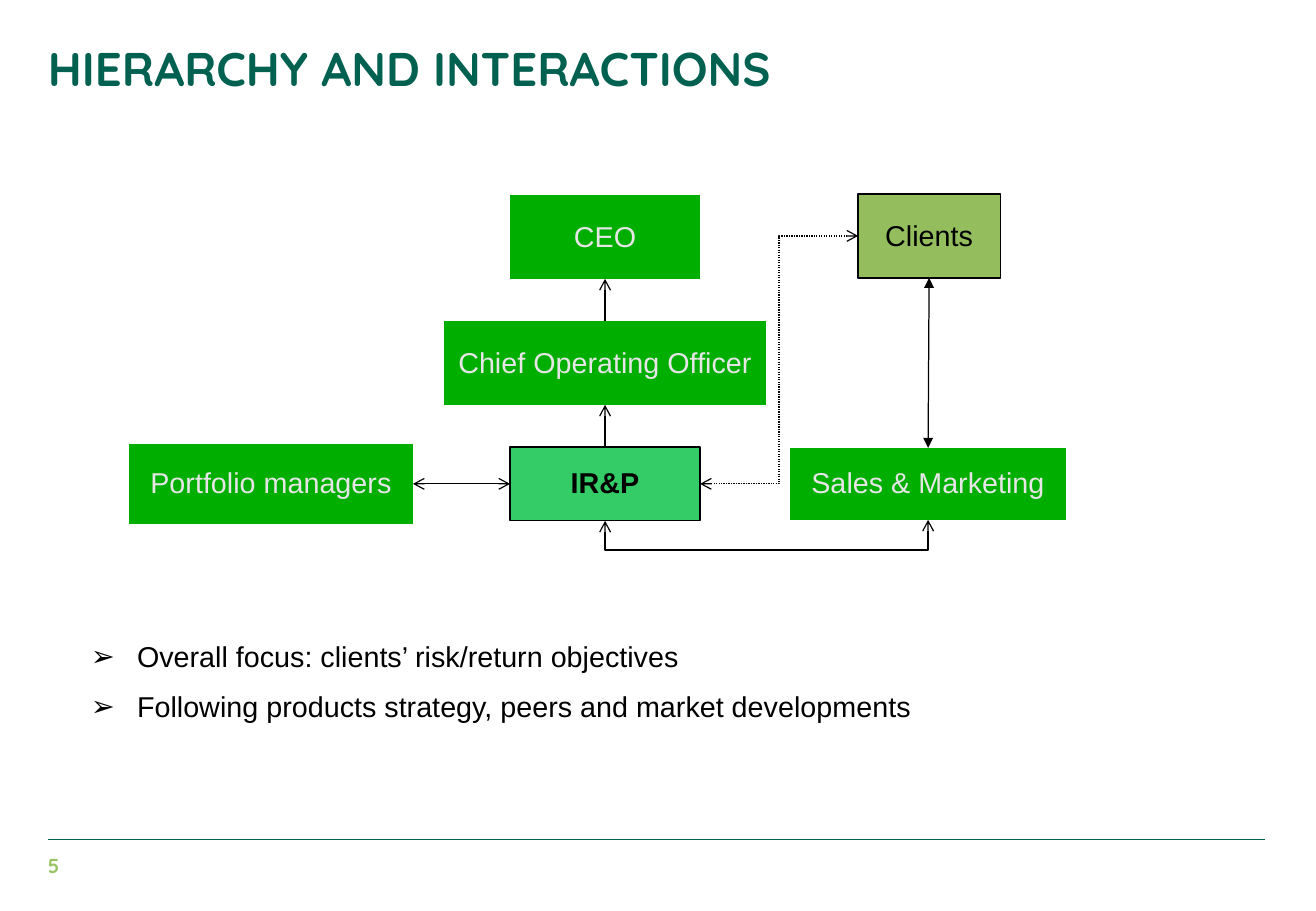
from lxml import etree
from pptx import Presentation, util as u
from pptx.dml.color import RGBColor
from pptx.enum import dml, shapes, text
from pptx.oxml.ns import qn

SCALE = u.Inches(1) / 121.5
TOP, LEFT, BOTTOM, RIGHT = range(4)

THEME = dict(
    heading_font="Quicksand", body_font="Arial",
    heading="006150", page="99C465", ink="000000", pale="E6E6E6",
    staff="00AE00", focus="33CC66", outside="94BD5E",
    title_size=28, body_size=17, page_size=12, rule_width=0.2, line_width=0.75,
)

TITLE = "HIERARCHY AND INTERACTIONS"
PAGE = "5"
POINTS = [
    "Overall focus: clients’ risk/return objectives",
    "Following products strategy, peers and market developments",
]
ROLES = [
    ("CEO", (510, 195, 190, 84), "staff"),
    ("Chief Operating Officer", (444, 321, 322, 84), "staff"),
    ("IR&P", (510, 447, 190, 74), "focus"),
    ("Portfolio managers", (129, 444, 284, 80), "staff"),
    ("Sales & Marketing", (790, 448, 276, 72), "staff"),
    ("Clients", (858, 194, 142, 84), "outside"),
]
LINKS = [
    ("IR&P", TOP, "Chief Operating Officer", BOTTOM, None, "arrow", False),
    ("Chief Operating Officer", TOP, "CEO", BOTTOM, None, "arrow", False),
    ("IR&P", LEFT, "Portfolio managers", RIGHT, "arrow", "arrow", False),
    ("Sales & Marketing", TOP, "Clients", BOTTOM, "triangle", "triangle", False),
    ("IR&P", RIGHT, "Clients", LEFT, "arrow", "arrow", True),
]
LOOP_DROP = 30


def px(*lengths):
    return [u.Emu(round(length * SCALE)) for length in lengths]


def color(name):
    return RGBColor.from_string(THEME[name])


def place(shape, box):
    shape.left, shape.top, shape.width, shape.height = px(*box)


def set_frame(frame, anchor, margins=(0, 0, 0, 0), wrap=True):
    frame.auto_size = text.MSO_AUTO_SIZE.NONE
    frame.word_wrap = wrap
    frame.vertical_anchor = anchor
    (frame.margin_left, frame.margin_top,
     frame.margin_right, frame.margin_bottom) = px(*margins)


def style(paragraph, font, size, ink, bold=False, align=text.PP_ALIGN.LEFT):
    paragraph.alignment = align
    for run in paragraph.runs:
        run.font.name = THEME[font]
        run.font.size = u.Pt(THEME[size])
        run.font.color.rgb = color(ink)
        run.font.bold = bold


def add_line(kind, start, end, ink="ink", width="line_width"):
    line = slide.shapes.add_connector(kind, *px(*start, *end))
    line.line.color.rgb = color(ink)
    line.line.width = u.Pt(THEME[width])
    etree.SubElement(line._element.spPr, qn("a:effectLst"))
    return line


def add_heads(line, head, tail):
    outline = line._element.spPr.find(qn("a:ln"))
    for tag, kind in (("a:headEnd", head), ("a:tailEnd", tail)):
        if kind:
            etree.SubElement(outline, qn(tag), type=kind)


def glue(line, source, source_side, target, target_side):
    line.begin_connect(boxes[source], source_side)
    line.end_connect(boxes[target], target_side)


def add_role(name, box, group):
    outside, focus = group == "outside", group == "focus"
    kind = shapes.MSO_SHAPE
    role = slide.shapes.add_shape(
        kind.ROUNDED_RECTANGLE if outside else kind.FLOWCHART_PROCESS, *px(*box))
    role.shadow.inherit = False
    role.fill.solid()
    role.fill.fore_color.rgb = color(group)
    if outside:
        role.adjustments[0] = 0
    if group == "staff":
        role.line.fill.background()
    else:
        role.line.color.rgb = color("ink")
        role.line.width = u.Pt(THEME["line_width"])
    role.text_frame.text = name
    set_frame(role.text_frame, text.MSO_ANCHOR.MIDDLE, (11, 7, 11, 6), outside)
    label = role.text_frame.paragraphs[0]
    label.line_spacing = 0.93
    style(label, "body_font", "body_size", "pale" if group == "staff" else "ink",
          focus, text.PP_ALIGN.CENTER)
    return role


def add_loop(source, target, drop):
    loop = add_line(shapes.MSO_CONNECTOR.ELBOW, (0, 0), (1, 1))
    glue(loop, source, BOTTOM, target, BOTTOM)
    start_x, start_y, end_x, end_y = loop.begin_x, loop.begin_y, loop.end_x, loop.end_y
    depth, span = end_y - start_y, start_x - end_x
    middle_x, middle_y = (start_x + end_x) // 2, (start_y + end_y) // 2
    loop.begin_x, loop.end_x = middle_x - depth // 2, middle_x - depth // 2 + depth
    loop.begin_y, loop.end_y = middle_y - span // 2, middle_y - span // 2 + span
    properties = loop._element.spPr
    frame = properties.find(qn("a:xfrm"))
    frame.attrib.pop("flipH", None)
    frame.attrib.pop("flipV", None)
    frame.set("rot", "5400000")
    bend = properties.find(qn("a:prstGeom")).get_or_add_avLst()
    ratio = round(drop * SCALE / depth * 100000)
    etree.SubElement(bend, qn("a:gd"), name="adj1", fmla=f"val {ratio}")
    add_heads(loop, "arrow", "arrow")


deck = Presentation()
deck.slide_width, deck.slide_height = u.Inches(10.83), u.Inches(7.5)
slide = deck.slides.add_slide(deck.slide_layouts[1])

add_line(shapes.MSO_CONNECTOR.STRAIGHT, (48, 839), (1265, 839), "heading", "rule_width")

page = slide.shapes.add_textbox(*px(48, 853, 62, 25))
page.text_frame.text = PAGE
set_frame(page.text_frame, text.MSO_ANCHOR.MIDDLE)
style(page.text_frame.paragraphs[0], "heading_font", "page_size", "page", True)

title = slide.shapes.title
place(title, (48, 48, 1217, 42))
title.text_frame.text = TITLE
set_frame(title.text_frame, text.MSO_ANCHOR.TOP)
title.text_frame.paragraphs[0].line_spacing = 0.85
style(title.text_frame.paragraphs[0], "heading_font", "title_size", "heading", True)

points = slide.placeholders[1]
place(points, (91, 639, 1138, 115))
points.text_frame.text = "\n".join(POINTS)
set_frame(points.text_frame, text.MSO_ANCHOR.TOP)
for point in points.text_frame.paragraphs:
    style(point, "body_font", "body_size", "ink")
    point.space_before = u.Pt(9.5)
    layout = point._p.get_or_add_pPr()
    indent = px(46)[0]
    layout.set("marL", str(indent))
    layout.set("indent", str(-indent))
    bullet_color = etree.SubElement(layout, qn("a:buClr"))
    etree.SubElement(bullet_color, qn("a:srgbClr"), val=THEME["ink"])
    etree.SubElement(layout, qn("a:buChar"), char="➢")

boxes = {name: add_role(name, box, group) for name, box, group in ROLES}

for source, source_side, target, target_side, head, tail, dotted in LINKS:
    kind = shapes.MSO_CONNECTOR.ELBOW if dotted else shapes.MSO_CONNECTOR.STRAIGHT
    link = add_line(kind, (0, 0), (1, 1))
    glue(link, source, source_side, target, target_side)
    if dotted:
        link.line.dash_style = dml.MSO_LINE.ROUND_DOT
    add_heads(link, head, tail)

add_loop("Sales & Marketing", "IR&P", LOOP_DROP)

deck.save("out.pptx")
